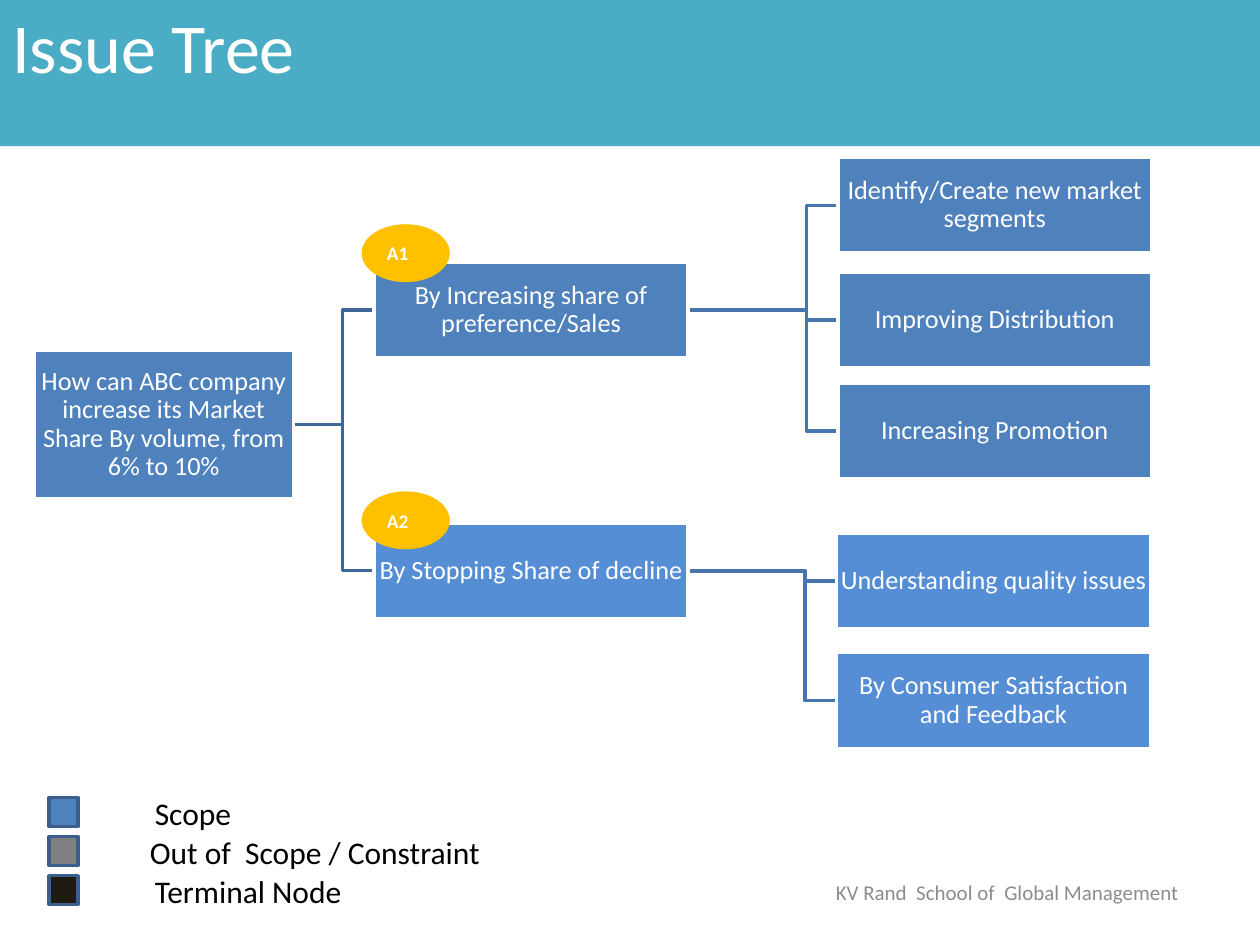
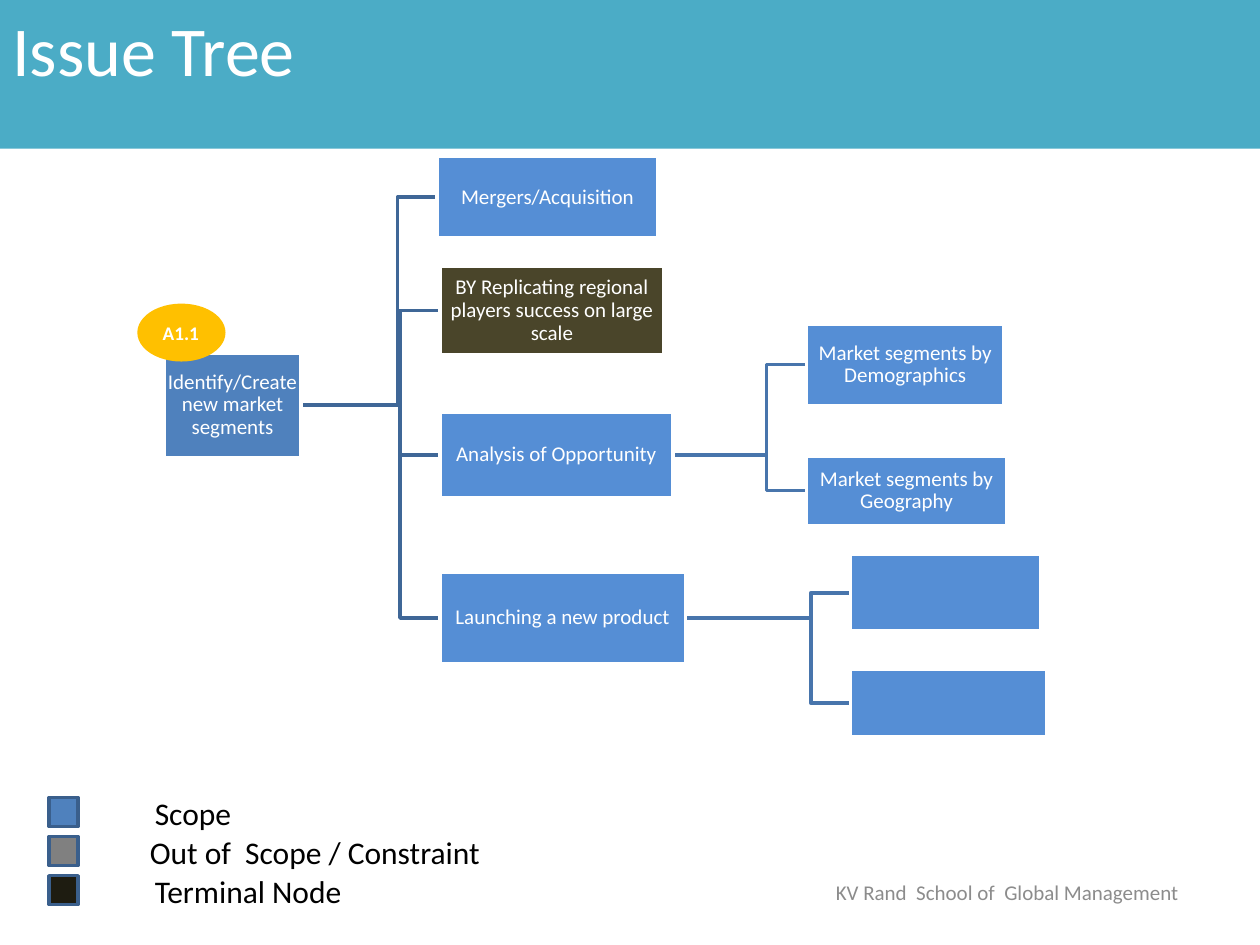
from dataclasses import dataclass, field

from pptx import Presentation
from pptx.dml.color import RGBColor
from pptx.enum import shapes, text
from pptx.util import Inches, Pt

COLS, ROWS = 100, 75
WIDE, HIGH = Inches(10), Inches(7.5)
FONT = "Calibri"
HUES = {
    "band": "4BACC6", "scope": "4F81BD", "leaf": "558ED5", "dark": "4A452A",
    "tag": "FFC000", "out": "808080", "end": "1E1C11", "edge": "3A5F8C",
    "trunk": "3F6797", "twig": "4875AC", "white": "FFFFFF", "ink": "000000",
    "foot": "8C8C8C",
}
FORM = shapes.MSO_SHAPE
SIDE = text.PP_ALIGN
HOLD = text.MSO_ANCHOR


def hue(name):
    return RGBColor.from_string(HUES[name])


def write(frame, words, size=12, color="white", bold=False, align=SIDE.LEFT,
          anchor=HOLD.MIDDLE, pad=(0.1, 0.05), lead=None, wrap=True):
    """Put formatted text in a frame; pad is (sides, top and bottom) in inches."""
    frame.word_wrap = wrap
    frame.vertical_anchor = anchor
    frame.margin_left = frame.margin_right = Inches(pad[0])
    frame.margin_top = frame.margin_bottom = Inches(pad[1])
    para = frame.paragraphs[0]
    para.alignment = align
    para.line_spacing = lead
    run = para.add_run()
    run.text = words
    run.font.name, run.font.size, run.font.bold = FONT, Pt(size), bold
    run.font.color.rgb = hue(color)


@dataclass
class Node:
    """A tree box in grid units, with its branches."""
    words: str
    x: float
    y: float
    w: float = 24.9
    h: float = 7.6
    fill: str = "leaf"
    kids: list = field(default_factory=list)
    form: int = FORM.RECTANGLE

    @property
    def mid(self):
        return self.y + self.h / 2


class Deck:
    def __init__(self):
        self.file = Presentation()
        self.file.slide_width, self.file.slide_height = WIDE, HIGH
        self.page = None

    def start(self):
        self.page = self.file.slides.add_slide(self.file.slide_layouts[6])

    def place(self, x, y, w, h):
        return (round(x * WIDE / COLS), round(y * HIGH / ROWS),
                round(w * WIDE / COLS), round(h * HIGH / ROWS))

    def stroke(self, shape, line):
        shape.shadow.inherit = False
        if line:
            shape.line.color.rgb = hue(line)
            shape.line.width = Pt(2)
        else:
            shape.line.fill.background()

    def block(self, form, x, y, w, h, fill, line=None, words="", **style):
        shape = self.page.shapes.add_shape(form, *self.place(x, y, w, h))
        shape.fill.solid()
        shape.fill.fore_color.rgb = hue(fill)
        self.stroke(shape, line)
        if words:
            write(shape.text_frame, words, **style)

    def label(self, words, x, y, w, h, **style):
        box = self.page.shapes.add_textbox(*self.place(x, y, w, h))
        write(box.text_frame, words, **style)

    def link(self, node, kid, bend, color):
        """Draw a stepped line that turns `bend` columns before the branch."""
        turn = kid.x - bend
        spots = [(node.x + node.w, node.mid), (turn, node.mid),
                 (turn, kid.mid), (kid.x, kid.mid)]
        first, *rest = [self.place(x, y, 0, 0)[:2] for x, y in spots]
        pen = self.page.shapes.build_freeform(*first)
        pen.add_line_segments(rest, close=False)
        shape = pen.convert_to_shape()
        shape.fill.background()
        self.stroke(shape, color)

    def tree(self, node, size, bend, color="trunk"):
        for kid in node.kids:
            self.link(node, kid, bend, color)
        for kid in node.kids:
            self.tree(kid, size, bend, "twig")
        self.block(node.form, node.x, node.y, node.w, node.h, node.fill, "white",
                   node.words, size=size, align=SIDE.CENTER, pad=(0.01, 0.01), lead=0.9)

    def tag(self, words, x, y):
        self.block(FORM.OVAL, x, y, 7, 4.6, "tag", words=words, size=11, bold=True)

    def frame(self, top):
        """Title band, legend and footer."""
        self.block(FORM.RECTANGLE, 0, top, COLS, 11.8, "band", words="Issue Tree",
                   size=40, anchor=HOLD.TOP)
        legend = [("Scope", "scope", 11.3), ("Out of  Scope / Constraint", "out", 10.9),
                  ("Terminal Node", "end", 11.3)]
        for i, (words, fill, x) in enumerate(legend):
            y = 63.3 + 3.1 * i
            self.block(FORM.RECTANGLE, 3.9, y, 2.3, 2.3, fill, "edge")
            self.label(words, x, y - 0.75, 28.5, 4, size=18, color="ink", anchor=HOLD.TOP)
        self.label("KV Rand  School of  Global Management", 64.1, 68.8, 31.7, 4,
                   color="foot", align=SIDE.CENTER)


def main():
    deck = Deck()

    # Market share tree
    grow = Node("By Increasing share of preference/Sales", 29.7, 20.8, fill="scope", kids=[
        Node("Identify/Create new market segments", 66.5, 12.5, fill="scope"),
        Node("Improving Distribution", 66.5, 21.6, fill="scope"),
        Node("Increasing Promotion", 66.5, 30.4, fill="scope"),
    ])
    stop = Node("By Stopping Share of decline", 29.7, 41.5, kids=[
        Node("Understanding quality issues", 66.4, 42.3),
        Node("By Consumer Satisfaction and Feedback", 66.4, 51.8),
    ])
    share = Node("How can ABC company increase its Market Share By volume, from 6% to 10%",
                 2.7, 27.8, 20.6, 11.8, "scope", [grow, stop], FORM.FLOWCHART_PROCESS)
    deck.start()
    deck.tree(share, size=15, bend=2.5)
    deck.tag("A1", 28.7, 17.8)
    deck.tag("A2", 28.7, 39)
    deck.frame(top=-0.2)

    # New segments tree
    study = Node("Analysis of Opportunity", 34.9, 32.7, 18.5, 6.8, kids=[
        Node("Market segments by Demographics", 64, 25.7, 15.7, 6.5),
        Node("Market segments by Geography", 64, 36.2, 15.9, 5.5),
    ])
    launch = Node("Launching a new product", 34.9, 45.4, 19.5, 7.3, kids=[
        Node("", 67.5, 44, 15.1, 6.1),
        Node("", 67.5, 53.1, 15.6, 5.4),
    ])
    segment = Node("Identify/Create new market segments", 13, 28, 10.9, 8.3, "scope", [
        Node("Mergers/Acquisition", 34.7, 12.4, 17.5, 6.5),
        Node("BY Replicating regional players success on large scale",
             34.9, 21.1, 17.8, 7.1, "dark"),
        study, launch,
    ])
    deck.start()
    deck.tree(segment, size=12, bend=3.15)
    deck.tag("A1.1", 10.9, 24.1)
    deck.frame(top=0)

    deck.file.save("out.pptx")


if __name__ == "__main__":
    main()
